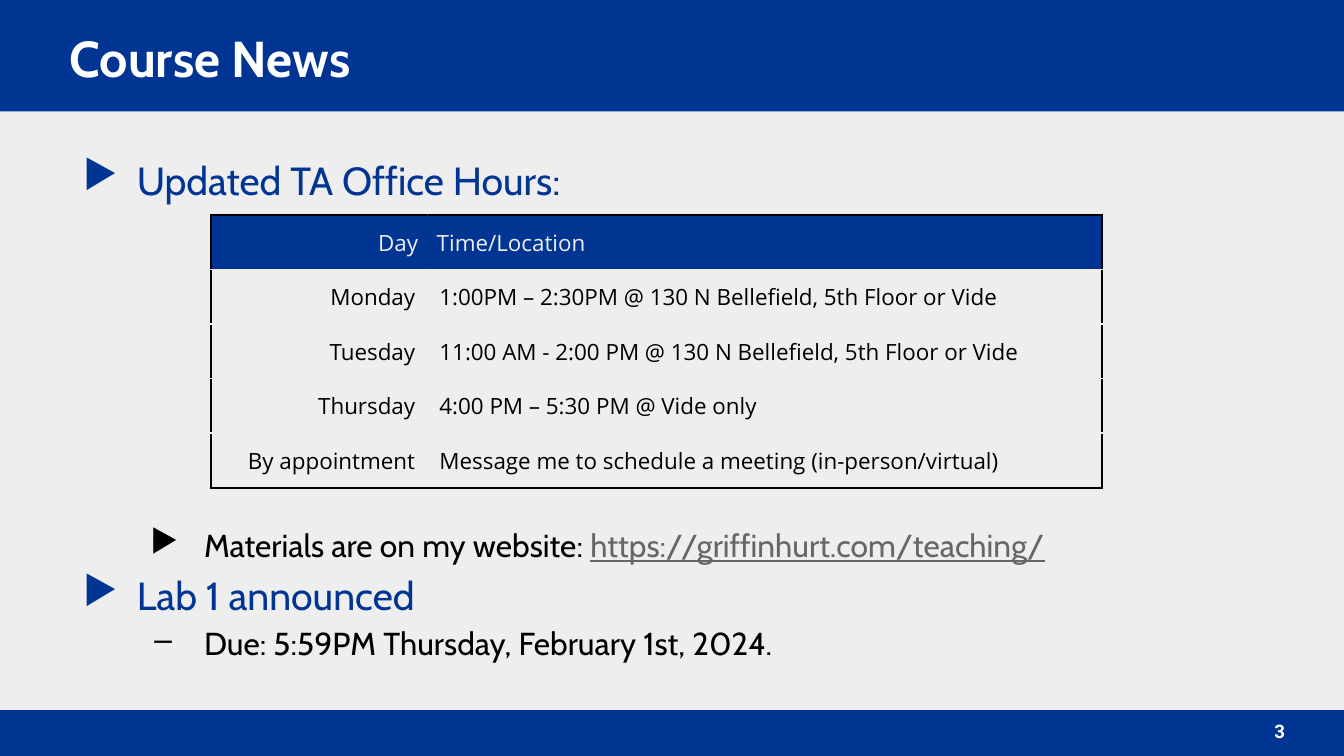
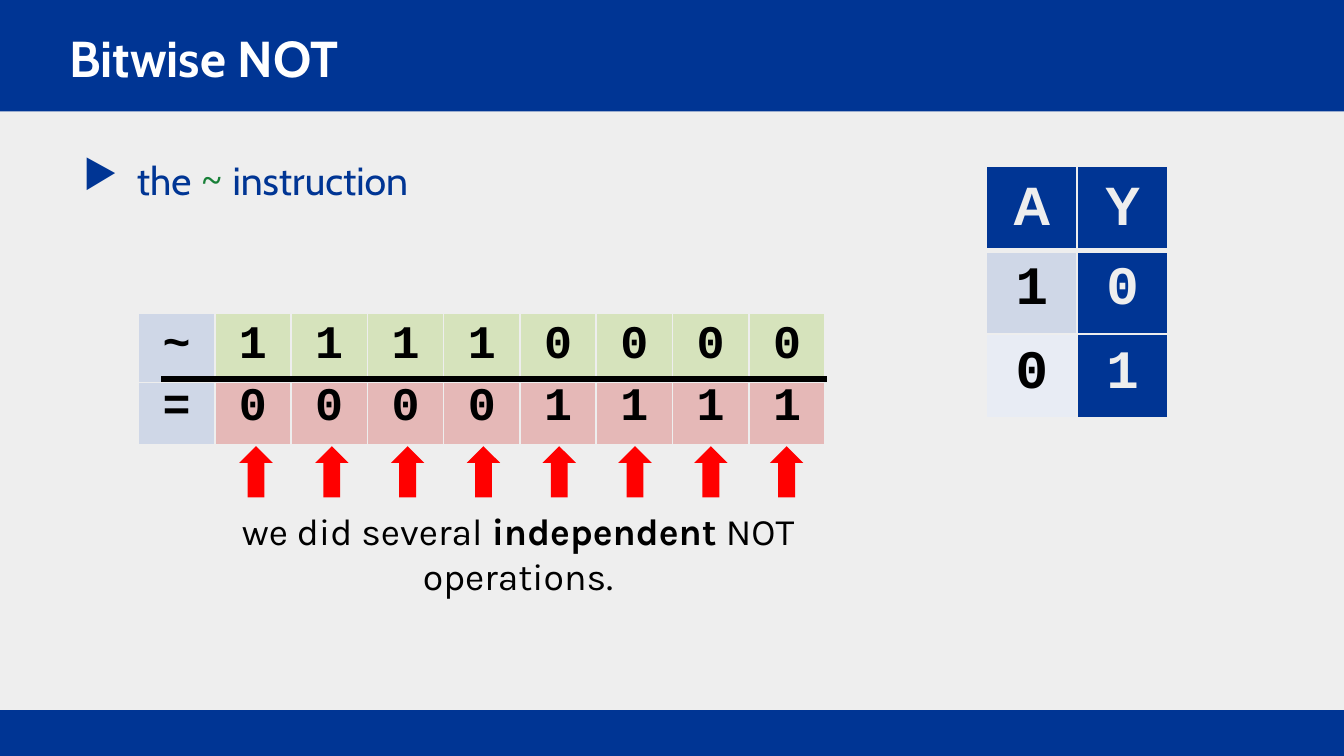
from lxml import etree
from pptx import Presentation
from pptx.dml.color import RGBColor
from pptx.enum.shapes import MSO_CONNECTOR, MSO_SHAPE
from pptx.enum.text import MSO_ANCHOR, PP_ALIGN
from pptx.oxml.ns import qn
from pptx.util import Inches, Pt

LEFT, MID, RIGHT = PP_ALIGN.LEFT, PP_ALIGN.CENTER, PP_ALIGN.RIGHT
TOP, CENTER = MSO_ANCHOR.TOP, MSO_ANCHOR.MIDDLE
RECT, ARROW = MSO_SHAPE.RECTANGLE, MSO_SHAPE.UP_ARROW
LINE = MSO_CONNECTOR.STRAIGHT

HUES = {
    "royal": "003594", "paper": "EEEEEE", "white": "FFFFFF", "black": "000000",
    "gray": "666666", "code": "188038", "key": "CFD7E7", "pale": "E8ECF4",
    "green": "D6E3BC", "rose": "E5B8B7", "red": "FF0000",
}
INK = {name: RGBColor.from_string(code) for name, code in HUES.items()}

deck = Presentation()
deck.slide_width = Inches(10)
deck.slide_height = deck.slide_width * 9 // 16
UNIT = deck.slide_width / 100  # square grid, 100 columns wide
TALL = 56.25
HEAD, FOOT = 8.3, 3.4


def area(*cells):
    """Turn grid counts into slide lengths."""
    return [round(cell * UNIT) for cell in cells]


def write(frame, paras, pad, anchor=TOP):
    """Fill a frame with (runs, format, bullet) paragraphs."""
    frame.word_wrap = True
    frame.vertical_anchor = anchor
    sides = ("left", "top", "right", "bottom")
    for side, gap in zip(sides, area(*pad, *pad)):
        setattr(frame, "margin_" + side, gap)
    for i, (runs, form, mark) in enumerate(paras):
        para = frame.add_paragraph() if i else frame.paragraphs[0]
        for key, value in form.items():
            setattr(para, key, value)
        if mark:
            sign, hue, edge, hang = mark
            props = para._p.get_or_add_pPr()
            for key, size in zip(("marL", "indent"), area(edge, -hang)):
                props.set(key, str(size))
            tint = etree.SubElement(props, qn("a:buClr"))
            etree.SubElement(tint, qn("a:srgbClr"), val=HUES[hue])
            etree.SubElement(props, qn("a:buChar"), char=sign)
        for text, hue, look in runs:
            run = para.add_run()
            run.text = text
            run.font.color.rgb = INK[hue]
            for key, value in look.items():
                setattr(run.font, key, value)


# Text styles
NAME = {"name": "Cabin", "size": Pt(27), "bold": True}
PAGE = {"name": "Roboto", "size": Pt(10), "bold": True}
MAIN = {"name": "Cabin", "size": Pt(21)}
SUB = {"name": "Cabin", "size": Pt(17)}
CODE = {"name": "Noto Sans Mono", "size": Pt(21)}
HOUR = {"name": "Open Sans", "size": Pt(12), "bold": False}
BIT = {"name": "Courier New", "size": Pt(25), "bold": True}
LOGIC = {"name": "Courier New", "size": Pt(29), "bold": True}
NOTE = {"name": "Karla", "size": Pt(20)}
ROOM = {"line_spacing": 1.15}
BELOW = {"line_spacing": 1.15, "space_before": Pt(170)}
DOT = ("▶", "royal", 5, 4)

# Slide contents
news = [
    ([("Updated TA Office Hours:", "royal", MAIN)], ROOM, DOT),
    ([("Materials are on my website: ", "black", SUB),
      ("https://griffinhurt.com/teaching/", "gray", {**SUB, "underline": True})],
     BELOW, ("▶", "black", 10, 4)),
    ([("Lab 1 announced", "royal", MAIN)], ROOM, DOT),
    ([("Due: 5:59PM Thursday, February 1st, 2024.", "black", SUB)],
     ROOM, ("–", "black", 10, 3.7)),
]
tilde = [
    ([("the ", "royal", MAIN), ("~", "code", CODE),
      (" instruction", "royal", MAIN)], ROOM, DOT),
]
hours = {
    "at": (15.7, 16, 66.3, 20.3), "cols": (16.1, 50.2), "row": 4.06,
    "pads": [(0.7, 0.3)] + [(0.9, 0.4)] * 4, "anchor": CENTER,
    "align": (RIGHT, LEFT), "rim": "black", "heavy": False,
    "looks": [HOUR] * 5,
    "fills": [("royal", "royal")] + [(None, None)] * 4,
    "inks": [("paper", "paper")] + [("black", "black")] * 4,
    "rows": [
        ("Day", "Time/Location"),
        ("Monday", "1:00PM – 2:30PM @ 130 N Bellefield, 5th Floor or Vide"),
        ("Tuesday", "11:00 AM - 2:00 PM @ 130 N Bellefield, 5th Floor or Vide"),
        ("Thursday", "4:00 PM – 5:30 PM @ Vide only"),
        ("By appointment", "Message me to schedule a meeting (in-person/virtual)"),
    ],
}
truth = {
    "at": (73.4, 12.4, 13.5, 18.6), "cols": (6.75, 6.75), "row": 4.7,
    "pads": [(1.5, 0.7)] * 3, "anchor": TOP,
    "align": (MID, MID), "rim": "paper", "heavy": True,
    "looks": [{**LOGIC, "name": "Arial"}, LOGIC, LOGIC],
    "fills": [("royal", "royal"), ("key", "royal"), ("pale", "royal")],
    "inks": [("paper", "paper")] + [("black", "paper")] * 2,
    "rows": ["AY", "10", "01"],
}
bytes_ = [
    {
        "at": (10.3, top, 51.1, 5.1), "cols": [51.1 / 9] * 9, "row": 3.6,
        "pads": [(1, 0.5)], "anchor": TOP,
        "align": [MID] * 9, "rim": "paper", "heavy": False,
        "looks": [BIT], "fills": [["key"] + [hue] * 8],
        "inks": [["black"] * 9], "rows": [bits],
    }
    for top, hue, bits in ((27.9, "rose", "=00001111"), (23.3, "green", "~11110000"))
]
pages = [
    ("Course News", "3", news, [hours]),
    ("Bitwise NOT", None, tilde, [truth, *bytes_]),
]

for title, number, body, grids in pages:
    slide = deck.slides.add_slide(deck.slide_layouts[6])
    slide.background.fill.solid()
    slide.background.fill.fore_color.rgb = INK["paper"]
    for top, tall in ((0, HEAD), (TALL - FOOT, FOOT)):
        band = slide.shapes.add_shape(RECT, *area(0, top, 100, tall))
        band.shadow.inherit = False
        band.fill.solid()
        band.fill.fore_color.rgb = INK["royal"]
        band.line.fill.background()

    texts = [
        ((4.2, 1.8, 92.4, 5), [([(title, "white", NAME)], {}, None)], CENTER),
        ((4.2, 10.1, 91.6, 41.3), body, TOP),
    ]
    if number:
        line = ([(number, "white", PAGE)], {"alignment": RIGHT}, None)
        texts.append(((90.6, 52.7, 6, FOOT), [line], CENTER))
    for spot, paras, anchor in texts:
        box = slide.shapes.add_textbox(*area(*spot))
        write(box.text_frame, paras, (1, 1), anchor)

    for grid in grids:
        rows, cols = grid["rows"], grid["cols"]
        frame = slide.shapes.add_table(len(rows), len(cols), *area(*grid["at"]))
        table = frame.table
        table.first_row = table.horz_banding = False
        for col, wide in zip(table.columns, area(*cols)):
            col.width = wide
        for row in table.rows:
            row.height = area(grid["row"])[0]
        frame.height = area(grid["at"][3])[0]
        for r, words in enumerate(rows):
            for c, word in enumerate(words):
                cell = table.cell(r, c)
                run = (word, grid["inks"][r][c], grid["looks"][r])
                form = {"alignment": grid["align"][c]}
                write(cell.text_frame, [([run], form, None)], (0, 0))
                cell.vertical_anchor = grid["anchor"]
                pad = grid["pads"][r]
                for side, gap in zip(("left", "top", "right", "bottom"), area(*pad, *pad)):
                    setattr(cell, "margin_" + side, gap)
                fill = grid["fills"][r][c]
                if fill:
                    cell.fill.solid()
                    cell.fill.fore_color.rgb = INK[fill]
                else:
                    cell.fill.background()
                props = cell._tc.get_or_add_tcPr()
                for key in ("anchorCtr", "wrap"):
                    props.attrib.pop(key, None)
                inner = fill if fill and grid["rim"] == "black" else "paper"
                edges = (("L", c == 0), ("R", c == len(cols) - 1),
                         ("T", r == 0), ("B", r == len(rows) - 1))
                for i, (side, outer) in enumerate(edges):
                    thick = grid["heavy"] and (r, side) in ((0, "B"), (1, "T"))
                    edge = etree.Element(qn("a:ln" + side), w=str(Pt(3 if thick else 1)))
                    solid = etree.SubElement(edge, qn("a:solidFill"))
                    hue = HUES[grid["rim"] if outer else inner]
                    etree.SubElement(solid, qn("a:srgbClr"), val=hue)
                    props.insert(i, edge)

# Bitwise NOT: rule, arrows and remark
rule = slide.shapes.add_connector(LINE, *area(12, 28.2, 61.5, 28.2))
rule.line.color.rgb = INK["black"]
rule.line.width = Pt(3)
etree.SubElement(rule._element.spPr, qn("a:effectLst"))
for i in range(8):
    arrow = slide.shapes.add_shape(ARROW, *area(17.8 + 5.64 * i, 33.2, 2.5, 3.8))
    arrow.shadow.inherit = False
    arrow.fill.solid()
    arrow.fill.fore_color.rgb = INK["red"]
    arrow.line.fill.background()
remark = slide.shapes.add_textbox(*area(10.4, 37.3, 56.3, 4.4))
write(remark.text_frame, [
    ([("we did several ", "black", NOTE),
      ("independent", "black", {**NOTE, "bold": True}),
      (" NOT operations.", "black", NOTE)], {"alignment": MID}, None),
], (1, 0.5))

deck.save("out.pptx")
